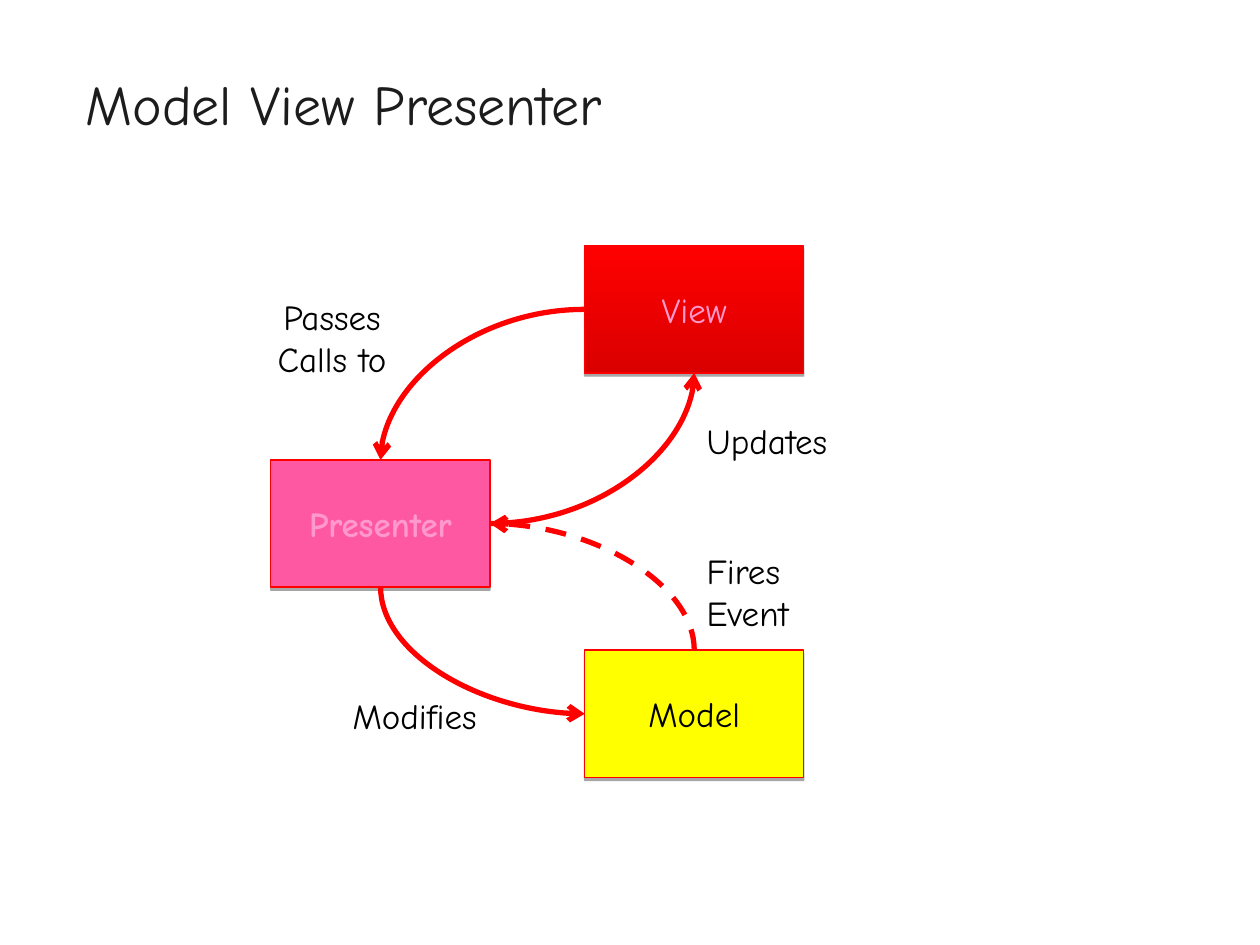
from dataclasses import dataclass
from lxml.etree import SubElement
from pptx import Presentation
from pptx.dml.color import RGBColor
from pptx.enum.dml import MSO_LINE
from pptx.enum.shapes import MSO_CONNECTOR, MSO_SHAPE
from pptx.enum.text import MSO_ANCHOR, MSO_AUTO_SIZE, PP_ALIGN
from pptx.oxml.ns import qn
from pptx.slide import Slide
from pptx.util import Inches, Pt

FONT = "Comic Neue"
COLORS = {"title": "1C1C1C", "text": "000000", "line": "FF0000", "view": "FF0000",
          "view_dark": "DA0000", "model": "FFFF00", "presenter": "FF58A3",
          "pale": "FF99CC", "shadow": "000000"}
CELL = Inches(0.1)
COLS, ROWS = 100, 75
BOX_COLS, BOX_ROWS = 17.4, 10.1
TOP, LEFT, BOTTOM, RIGHT = range(4)


@dataclass
class Box:
    text: str
    col: float
    row: float
    fills: tuple[str, ...]
    color: str
    bold: bool = False


@dataclass
class Label:
    text: str
    col: float
    row: float
    cols: float
    rows: float
    align: PP_ALIGN = PP_ALIGN.LEFT


@dataclass
class Arrow:
    start: str
    start_side: int
    end: str
    end_side: int
    dashed: bool = False


BOXES = [
    Box("View", 46.4, 19.5, ("view_dark", "view"), "pale"),
    Box("Model", 46.4, 51.6, ("model",), "text"),
    Box("Presenter", 21.5, 36.5, ("presenter",), "pale", True),
]
LABELS = [
    Label("Fires Event", 55.1, 43.1, 12.6, 7.7),
    Label("Passes Calls to", 19.3, 23, 14.1, 7.7, PP_ALIGN.CENTER),
    Label("Modifies", 27, 54.6, 14, 4.4),
    Label("Updates", 55.1, 32.8, 12.6, 4.4),
]
ARROWS = [
    Arrow("View", LEFT, "Presenter", TOP),
    Arrow("Presenter", BOTTOM, "Model", LEFT),
    Arrow("Presenter", RIGHT, "View", BOTTOM),
    Arrow("Model", TOP, "Presenter", RIGHT, True),
]


def rgb(name: str) -> RGBColor:
    return RGBColor.from_string(COLORS[name])


def grid(*cells: float) -> list[int]:
    return [round(c * CELL) for c in cells]


def write(s, text: str, color: str, size: int = 20, bold: bool = False,
          align: PP_ALIGN = PP_ALIGN.LEFT, **frame) -> None:
    tf = s.text_frame
    for name, value in {"word_wrap": True, **frame}.items():
        setattr(tf, name, value)
    p = tf.paragraphs[0]
    p.alignment = align
    r = p.add_run()
    r.text = text
    for name, value in {"name": FONT, "size": Pt(size), "bold": bold}.items():
        setattr(r.font, name, value)
    r.font.color.rgb = rgb(color)


def add_shadow(s) -> None:
    s.shadow.inherit = False
    effects = s._element.spPr.find(qn("a:effectLst"))
    shadow = SubElement(effects, qn("a:outerShdw"), blurRad="0", dist=str(Pt(1.8)),
                        dir="5400000", rotWithShape="0")
    color = SubElement(shadow, qn("a:srgbClr"), val=COLORS["shadow"])
    SubElement(color, qn("a:alpha"), val="35000")


def add_box(slide: Slide, box: Box):
    s = slide.shapes.add_shape(MSO_SHAPE.RECTANGLE,
                               *grid(box.col, box.row, BOX_COLS, BOX_ROWS))
    if len(box.fills) > 1:
        s.fill.gradient()
        s.fill.gradient_angle = 90
        for stop, name in zip(s.fill.gradient_stops, box.fills):
            stop.color.rgb = rgb(name)
    else:
        s.fill.solid()
        s.fill.fore_color.rgb = rgb(box.fills[0])
    s.line.color.rgb = rgb("line")
    s.line.width = Pt(0.75)
    add_shadow(s)
    write(s, box.text, box.color, bold=box.bold, align=PP_ALIGN.CENTER,
          vertical_anchor=MSO_ANCHOR.MIDDLE)
    return s


def add_label(slide: Slide, label: Label) -> None:
    s = slide.shapes.add_textbox(*grid(label.col, label.row, label.cols, label.rows))
    write(s, label.text, "text", align=label.align,
          auto_size=MSO_AUTO_SIZE.SHAPE_TO_FIT_TEXT)


def bend(s, upright: bool) -> None:
    dx, dy = s.end_x - s.begin_x, s.end_y - s.begin_y
    mid_x, mid_y = (s.begin_x + s.end_x) // 2, (s.begin_y + s.end_y) // 2
    width, height = (abs(dy), abs(dx)) if upright else (abs(dx), abs(dy))
    flip_h, flip_v = (dy > 0, dx < 0) if upright else (dx < 0, dy < 0)
    spPr = s._element.spPr
    spPr.find(qn("a:prstGeom")).set("prst", "curvedConnector2")
    for name, value in {"rot": 270 * 60000 * upright, "flipH": int(flip_h),
                        "flipV": int(flip_v)}.items():
        spPr.find(qn("a:xfrm")).set(name, str(value))
    for name, value in {"left": mid_x - width // 2, "top": mid_y - height // 2,
                        "width": width, "height": height}.items():
        setattr(s, name, value)


def add_arrow(slide: Slide, arrow: Arrow, boxes: dict) -> None:
    s = slide.shapes.add_connector(MSO_CONNECTOR.CURVE, 0, 0, 0, 0)
    s.begin_connect(boxes[arrow.start], arrow.start_side)
    s.end_connect(boxes[arrow.end], arrow.end_side)
    bend(s, arrow.start_side in (TOP, BOTTOM))
    s.line.color.rgb = rgb("line")
    s.line.width = Pt(3)
    if arrow.dashed:
        s.line.dash_style = MSO_LINE.DASH
    SubElement(s.line._get_or_add_ln(), qn("a:tailEnd"), type="arrow")
    SubElement(s._element.spPr, qn("a:effectLst"))


def main() -> None:
    prs = Presentation()
    prs.slide_width, prs.slide_height = COLS * CELL, ROWS * CELL
    slide = prs.slides.add_slide(prs.slide_layouts[5])
    title = slide.shapes.title
    for name, value in zip(("left", "top", "width", "height"), grid(5.8, 4.2, 90, 8)):
        setattr(title, name, value)
    write(title, "Model View Presenter", "title", 32, vertical_anchor=MSO_ANCHOR.MIDDLE)
    boxes = {box.text: add_box(slide, box) for box in BOXES}
    for arrow in ARROWS:
        add_arrow(slide, arrow, boxes)
    for label in LABELS:
        add_label(slide, label)
    prs.save("out.pptx")


if __name__ == "__main__":
    main()
